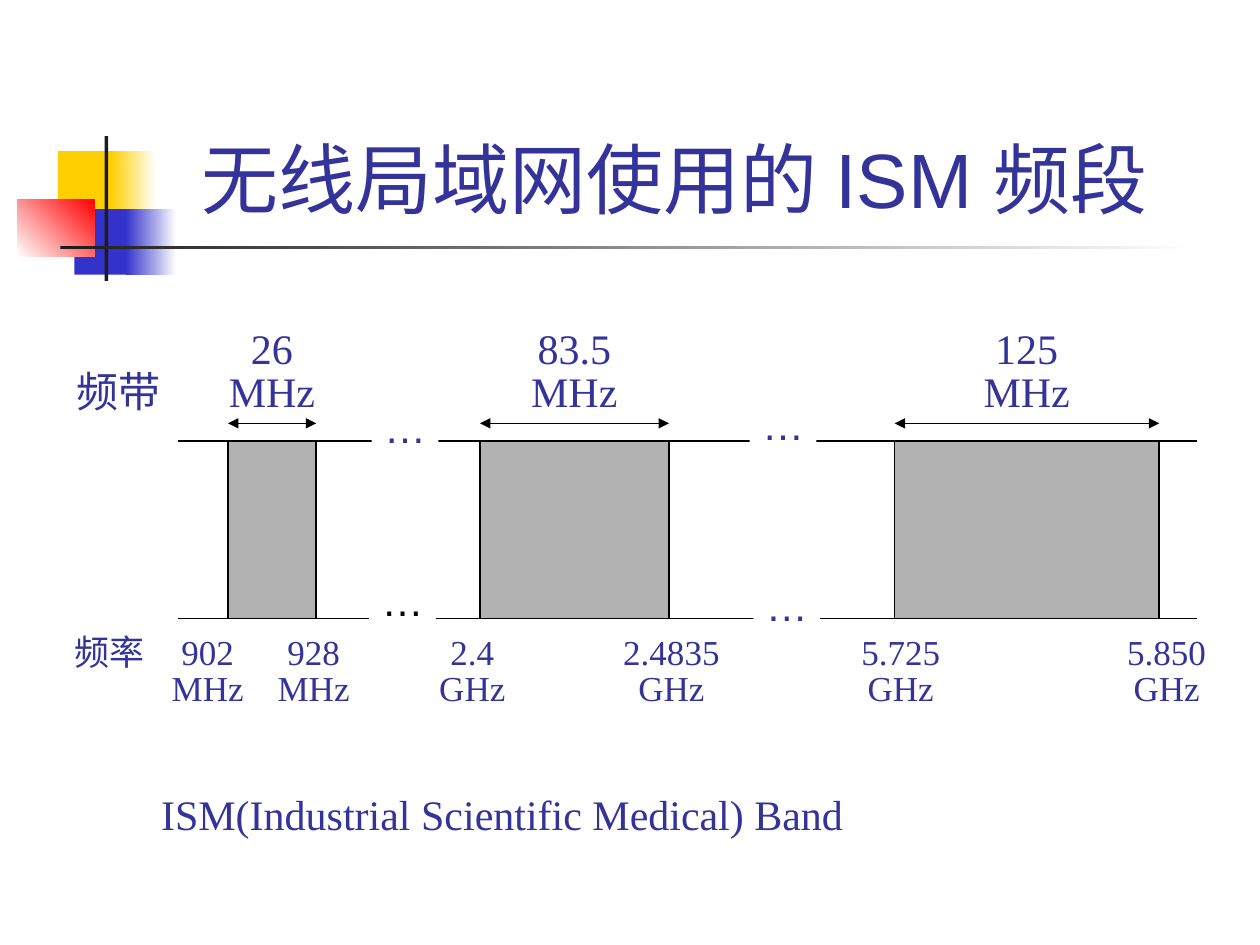
from lxml.etree import SubElement
from pptx import Presentation
from pptx.dml.color import RGBColor
from pptx.enum.shapes import MSO_CONNECTOR, MSO_SHAPE
from pptx.enum.text import MSO_ANCHOR, MSO_AUTO_SIZE, PP_ALIGN
from pptx.oxml.ns import qn
from pptx.util import Inches, Pt

NAVY, BLACK, WHITE, GRAY, INK = "333399", "000000", "FFFFFF", "B2B2B2", "1C1C1C"
YELLOW, BLUE, RED = "FFCF01", "3333CC", "FF0000"
SERIF, SANS = "Times New Roman", "Arial"
INSET = 0.1

TITLE = "无线局域网使用的 ISM 频段"
CAPTION = "ISM(Industrial Scientific Medical) Band"

# Ornament: left, top, width, height, colours (two make a gradient), angle
ORNAMENT = [
    (0.46, 1.20, 0.48, 0.52, [YELLOW], 0),
    (0.88, 1.20, 0.36, 0.52, [YELLOW, WHITE], 0),
    (0.59, 1.66, 0.46, 0.52, [BLUE], 0),
    (1.00, 1.66, 0.40, 0.52, [BLUE, WHITE], 0),
    (0.14, 1.58, 0.61, 0.46, [WHITE, RED], 45),
    (0.83, 1.08, 0.03, 1.15, [INK], 0),
    (0.48, 1.95, 9.00, 0.03, [INK, WHITE], 0),
]

# Bands: left, right, width value, unit
BANDS = [(1.81, 2.51, "26", "MHz"), (3.81, 5.31, "83.5", "MHz"), (7.1, 9.2, "125", "MHz")]
# Band edges: label centre, frequency, unit
EDGES = [
    (1.65, "902", "MHz"), (2.49, "928", "MHz"), (3.75, "2.4", "GHz"),
    (5.33, "2.4835", "GHz"), (7.15, "5.725", "GHz"), (9.26, "5.850", "GHz"),
]
# Axis breaks: left, top, colour
BREAKS = [(2.95, 3.14, NAVY), (2.93, 4.51, BLACK), (5.95, 3.11, NAVY), (5.98, 4.55, NAVY)]
AXIS_LEFT, AXIS_RIGHT, AXIS_TOP, AXIS_BOTTOM, ARROW_Y = 1.41, 9.5, 3.5, 4.91, 3.36


def rgb(color):
    return RGBColor.from_string(color)


def style(para, size, font, color=NAVY):
    para.font.size = Pt(size)
    para.font.name = font
    para.font.color.rgb = rgb(color)


def add_rect(page, left, top, width, height, colors, angle=0, line=None):
    box = page.shapes.add_shape(MSO_SHAPE.RECTANGLE, *map(Inches, (left, top, width, height)))
    box.shadow.inherit = False
    if len(colors) == 1:
        box.fill.solid()
        box.fill.fore_color.rgb = rgb(colors[0])
    else:
        box.fill.gradient()
        box.fill.gradient_angle = angle
        for stop, color in zip(box.fill.gradient_stops, colors):
            stop.color.rgb = rgb(color)
    if line:
        box.line.color.rgb = rgb(line)
        box.line.width = Pt(0.75)
    else:
        box.line.fill.background()


def add_line(page, left, right, y, arrows=False):
    line = page.shapes.add_connector(
        MSO_CONNECTOR.STRAIGHT, Inches(left), Inches(y), Inches(right), Inches(y))
    line.line.color.rgb = rgb(BLACK)
    line.line.width = Pt(0.75)
    if arrows:
        outline = line.line._get_or_add_ln()
        for end in ("a:headEnd", "a:tailEnd"):
            SubElement(outline, qn(end), type="triangle")
    SubElement(line._element.spPr, qn("a:effectLst"))


def add_text(page, left, top, width, height, lines, size, font, color=NAVY, wrap=True,
             spacing=None, centres=()):
    """Add a text box; centres are slide positions of centred tab stops."""
    box = page.shapes.add_textbox(*map(Inches, (left, top, width, height)))
    frame = box.text_frame
    frame.word_wrap = wrap
    for number, text in enumerate(lines):
        para = frame.add_paragraph() if number else frame.paragraphs[0]
        para.text = text
        if spacing:
            para.line_spacing = spacing
        if centres:
            tabs = SubElement(para._p.get_or_add_pPr(), qn("a:tabLst"))
            for centre in centres:
                SubElement(tabs, qn("a:tab"), pos=str(Inches(centre - left - INSET)), algn="ctr")
        style(para, size, font, color)
    return box


def add_labels(page, left, top, width, height, heading_row, heading, columns, size):
    """Add a heading and two rows of labels, centred on their columns."""
    centres, *rows = zip(*columns)
    lines = ["\t".join([heading if row == heading_row else "", *cells])
             for row, cells in enumerate(rows)]
    add_text(page, left, top, width, height, lines, size, SERIF, spacing=0.85, centres=centres)


def main():
    deck = Presentation()
    deck.slide_width, deck.slide_height = Inches(10), Inches(7.5)
    page = deck.slides.add_slide(deck.slide_layouts[5])

    for left, top, width, height, colors, angle in ORNAMENT:
        add_rect(page, left, top, width, height, colors, angle)

    # Title
    title = page.shapes.title
    title.left, title.top, title.width, title.height = map(Inches, (1.26, 0.23, 8.52, 1.6))
    frame = title.text_frame
    frame.text = TITLE
    frame.auto_size = MSO_AUTO_SIZE.NONE
    frame.vertical_anchor = MSO_ANCHOR.BOTTOM
    frame.margin_left = Inches(INSET + 0.24)
    frame.paragraphs[0].alignment = PP_ALIGN.LEFT
    style(frame.paragraphs[0], 44, SANS)

    # Caption and labels
    add_text(page, 1.18, 6.21, 7.49, 0.5, [CAPTION], 24, SERIF)
    band_columns = [((left + right) / 2, value, unit) for left, right, value, unit in BANDS]
    add_labels(page, 0.51, 2.57, 8.19, 0.78, 1, "频带", band_columns, 24)
    add_labels(page, 0.49, 5.01, 9.21, 0.67, 0, "频率", EDGES, 20)

    # Axes, bands and width arrows
    for y in (AXIS_TOP, AXIS_BOTTOM):
        add_line(page, AXIS_LEFT, AXIS_RIGHT, y)
    for left, right, *_ in BANDS:
        add_rect(page, left, AXIS_TOP, right - left, AXIS_BOTTOM - AXIS_TOP, [GRAY], line=BLACK)
        add_line(page, left, right, ARROW_Y, arrows=True)

    # Axis breaks
    for left, top, color in BREAKS:
        box = add_text(page, left, top, 0.53, 0.5, ["…"], 24, SANS, color, wrap=False)
        box.fill.solid()
        box.fill.fore_color.rgb = rgb(WHITE)

    deck.save("out.pptx")


if __name__ == "__main__":
    main()
